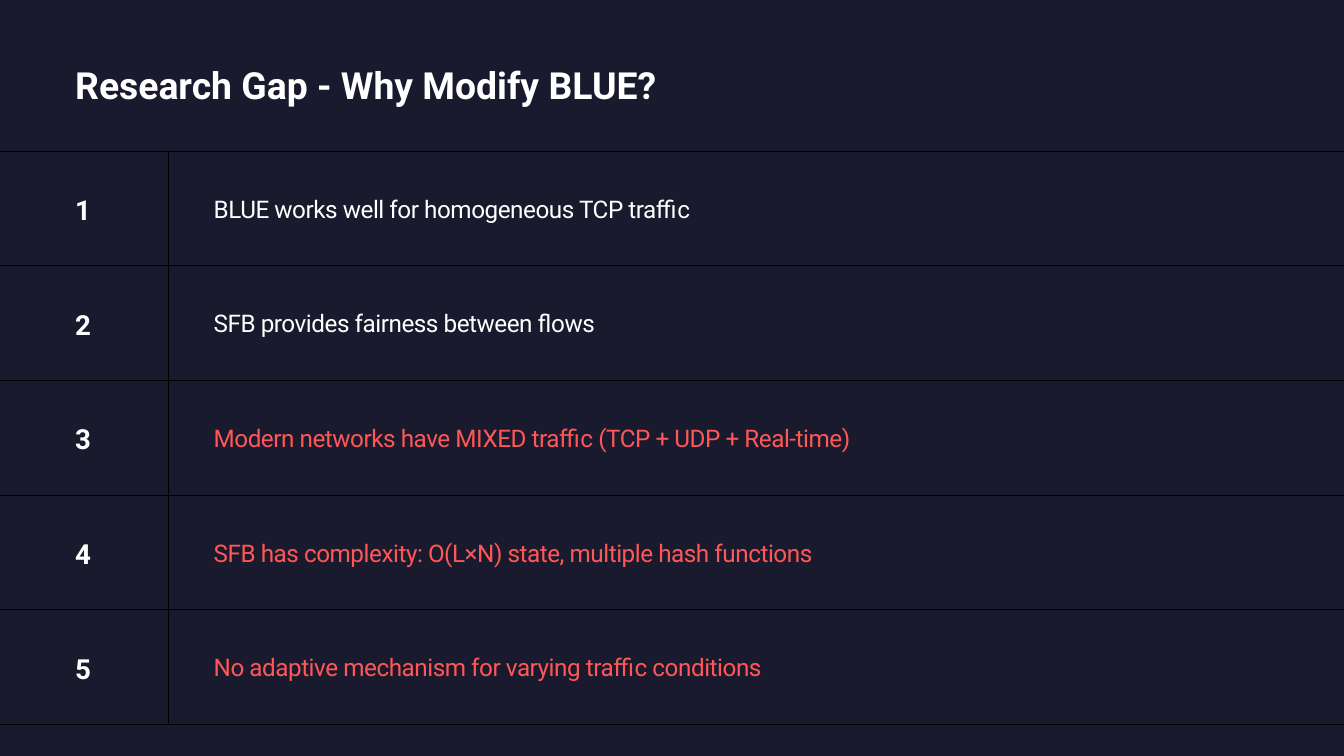
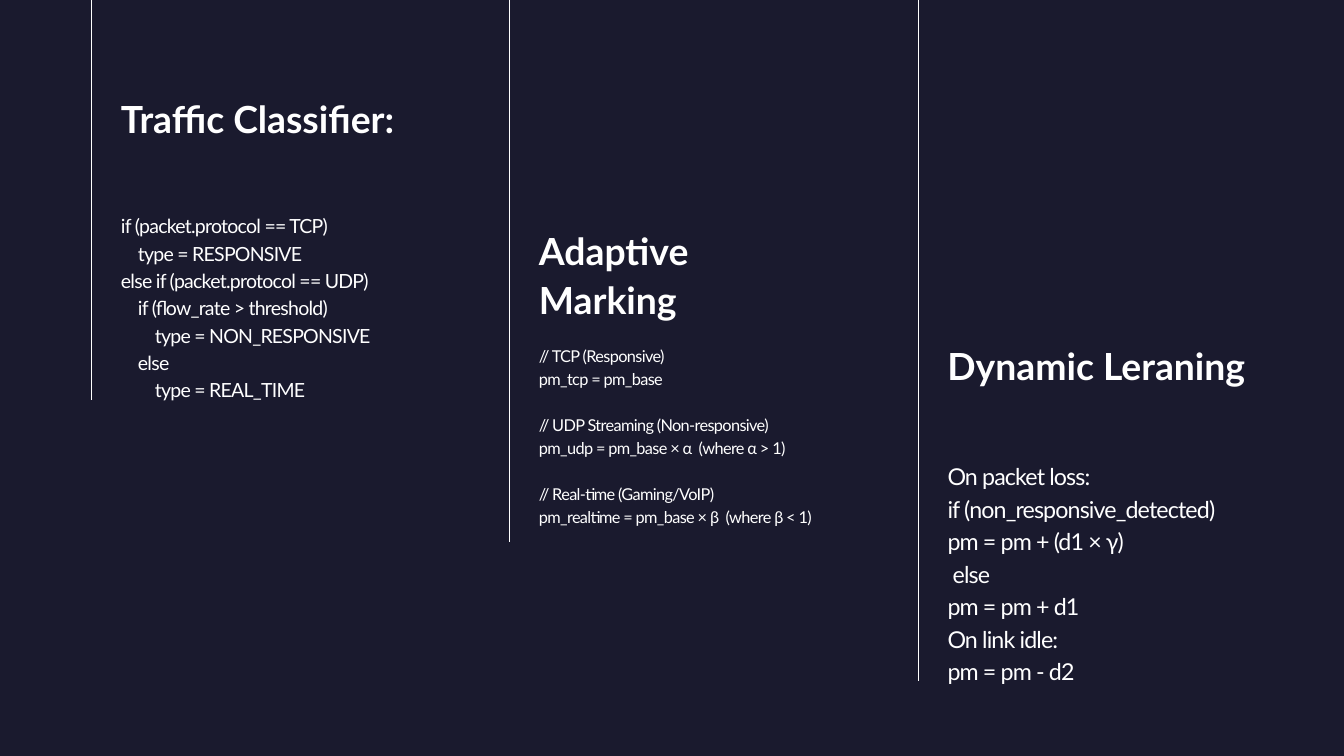
from dataclasses import dataclass

from lxml.etree import SubElement
from pptx import Presentation
from pptx.dml.color import RGBColor as Rgb
from pptx.enum.shapes import MSO_CONNECTOR as Conn
from pptx.oxml.ns import qn
from pptx.util import Inches, Pt


@dataclass(frozen=True)
class Theme:
    back: Rgb = Rgb(0x1A, 0x1A, 0x2E)
    white: Rgb = Rgb(0xFF, 0xFF, 0xFF)
    red: Rgb = Rgb(0xFF, 0x57, 0x57)
    black: Rgb = Rgb(0, 0, 0)
    sans: str = "Roboto"
    code: str = "Lato"
    head: float = 40
    num: float = 29.6
    body: float = 26
    rule: float = 0.75


THEME = Theme()
WIDTH, HEIGHT = 20, 11.25

GAPS = [
    ("BLUE works well for homogeneous TCP traffic", THEME.white),
    ("SFB provides fairness between flows", THEME.white),
    ("Modern networks have MIXED traffic (TCP + UDP + Real-time)", THEME.red),
    ("SFB has complexity: O(L×N) state, multiple hash functions", THEME.red),
    ("No adaptive mechanism for varying traffic conditions", THEME.red),
]

CLASSIFY = """if (packet.protocol == TCP)
    type = RESPONSIVE
else if (packet.protocol == UDP)
    if (flow_rate > threshold)
        type = NON_RESPONSIVE
    else
        type = REAL_TIME"""

MARKING = """// TCP (Responsive)
pm_tcp = pm_base
// UDP Streaming (Non-responsive)
pm_udp = pm_base × α  (where α > 1)
// Real-time (Gaming/VoIP)
pm_realtime = pm_base × β  (where β < 1)"""

LEARNING = """On packet loss:
if (non_responsive_detected) pm = pm + (d1 × γ)
 else
pm = pm + d1
On link idle:
pm = pm - d2"""

# rule x, top and width of the head, code, its height, size, leading, tracking
COLUMNS = [
    (1.36, 1.37, 4.35, "Traffic Classifier:", CLASSIFY, 2.82, 20.9, 29.3, -0.8),
    (7.58, 3.34, 4.35, "Adaptive Marking", MARKING, 2.97, 17.5, 24.6, -0.7),
    (13.66, 5.05, 4.54, "Dynamic Leraning", LEARNING, 3.32, 24.9, 34.9, -0.9),
]


def add_slide(deck):
    slide = deck.slides.add_slide(deck.slide_layouts[6])
    fill = slide.background.fill
    fill.solid()
    fill.fore_color.rgb = THEME.back
    return slide


def add_text(slide, box, text, face, size, lead, color=THEME.white,
             bold=False, track=0):
    """Add one paragraph per line; later comment lines open a new block."""
    frame = slide.shapes.add_textbox(*map(Inches, box)).text_frame
    frame.word_wrap = True
    frame.margin_left = frame.margin_right = 0
    frame.margin_top = frame.margin_bottom = 0
    frame.text = text
    for i, para in enumerate(frame.paragraphs):
        para.line_spacing = Pt(lead)
        if i and para.text.startswith("//"):
            para.space_before = Pt(lead)
        font = para.font
        font.name, font.size, font.bold = face, Pt(size), bold
        font.color.rgb = color
        if track:
            font._rPr.set("spc", str(round(track * 100)))


def add_rule(slide, x1, y1, x2, y2, color):
    ends = map(Inches, (x1, y1, x2, y2))
    rule = slide.shapes.add_connector(Conn.STRAIGHT, *ends)
    rule.line.color.rgb = color
    rule.line.width = Pt(THEME.rule)
    SubElement(rule._element.spPr, qn("a:effectLst"))


def add_gaps(deck):
    slide = add_slide(deck)
    left, split, top, end = 1.12, 2.5, 2.25, 10.78
    step = (end - top) / len(GAPS)
    add_text(slide, (left, 0.82, 15.04, 0.75),
             "Research Gap - Why Modify BLUE?", THEME.sans, THEME.head, 56,
             bold=True)
    add_rule(slide, 0, top, WIDTH, top, THEME.black)
    add_rule(slide, split, top, split, end, THEME.black)
    for i, (text, color) in enumerate(GAPS):
        y = top + i * step
        add_text(slide, (left, y + 0.58, 0.3, 0.52), str(i + 1),
                 THEME.sans, THEME.num, 38.5, bold=True)
        add_text(slide, (3.18, y + 0.6, 15.04, 0.46), text,
                 THEME.sans, THEME.body, 33.8, color, track=-0.5)
        add_rule(slide, 0, y + step, WIDTH, y + step, THEME.black)


def add_steps(deck):
    slide = add_slide(deck)
    for x, top, wide, head, code, high, size, lead, track in COLUMNS:
        left, low = x + 0.44, top + 1.76
        add_text(slide, (left, top, wide, 1.41), head,
                 THEME.code, THEME.head, 52, bold=True)
        add_text(slide, (left, low, 4.35, high), code,
                 THEME.code, size, lead, track=track)
        add_rule(slide, x, 0, x, low + high, THEME.white)


def main():
    deck = Presentation()
    deck.slide_width, deck.slide_height = Inches(WIDTH), Inches(HEIGHT)
    add_gaps(deck)
    add_steps(deck)
    deck.save("out.pptx")


if __name__ == "__main__":
    main()
